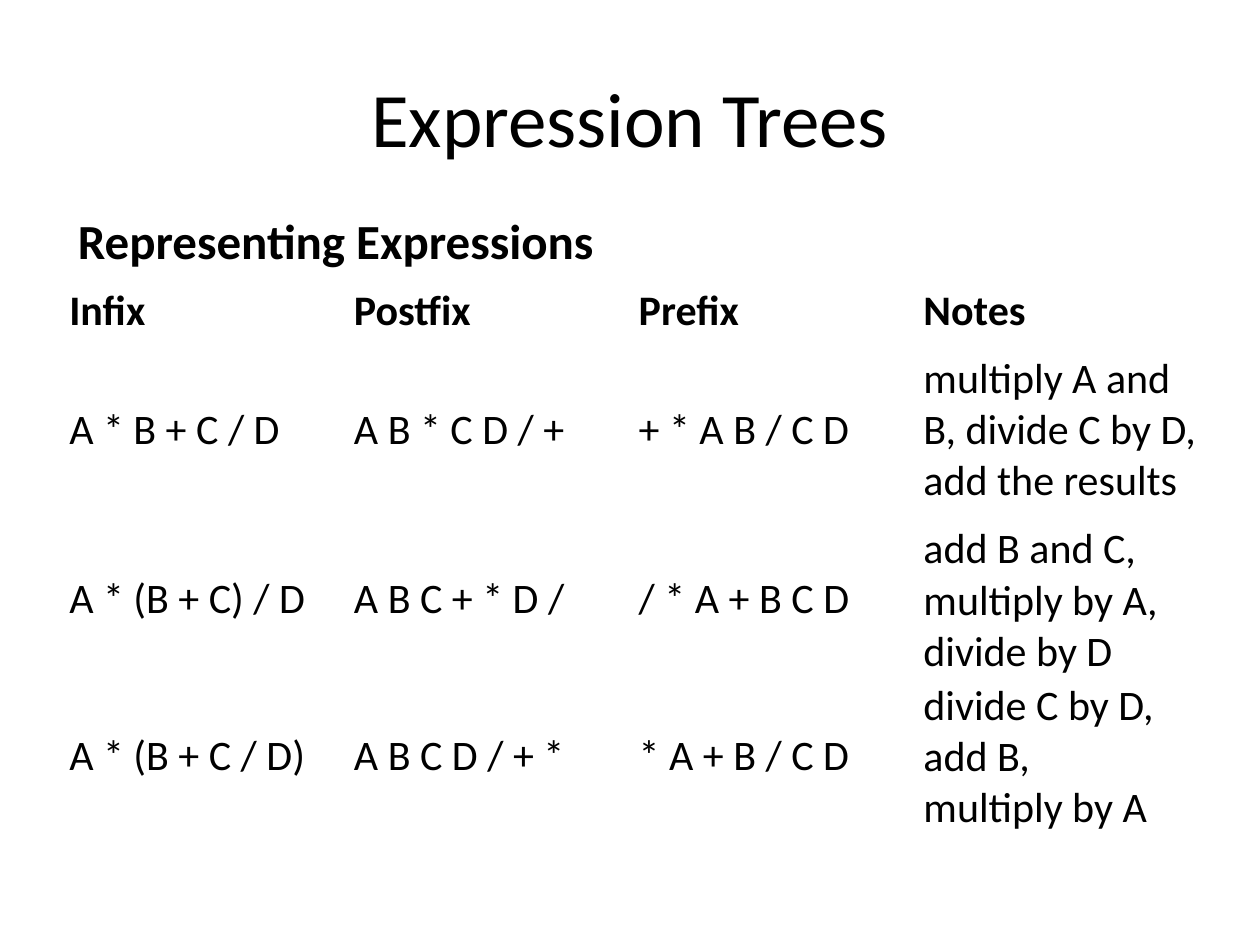
"""Build the Expression Trees slide with its table of notations."""
from dataclasses import dataclass

from pptx import Presentation
from pptx.dml.color import RGBColor
from pptx.enum.text import MSO_ANCHOR, MSO_AUTO_SIZE, PP_ALIGN
from pptx.util import Emu, Pt

MIDDLE = MSO_ANCHOR.MIDDLE
LEFT, CENTER = PP_ALIGN.LEFT, PP_ALIGN.CENTER
GROW, FIXED = MSO_AUTO_SIZE.SHAPE_TO_FIT_TEXT, MSO_AUTO_SIZE.NONE
PX = 9144
FONT = "Calibri"
BLACK, WHITE = "000000", "FFFFFF"
COL_WIDTH = 226
HEADERS = ("Infix", "Postfix", "Prefix", "Notes")


@dataclass(frozen=True)
class Heading:
    """A line of heading text with its box in px."""
    text: str
    box: tuple[int, int, int, int]
    size: int
    bold: bool
    align: PP_ALIGN
    wrap: bool


@dataclass(frozen=True)
class Row:
    """A table row with its height in px."""
    cells: tuple[str, ...]
    height: int
    bold: bool = False


HEADINGS = (
    Heading("Expression Trees", (50, 30, 900, 125), 44, False, CENTER, True),
    Heading("Representing Expressions", (52, 162, 434, 57), 28, True, LEFT, False),
)
ROWS = (
    Row(HEADERS, 28, True),
    Row(("A * B + C / D", "A B * C D / +", "+ * A B / C D",
         "multiply A and B, divide C by D,\nadd the results"), 145),
    Row(("A * (B + C) / D", "A B C + * D /", "/ * A + B C D",
         "add B and C,\nmultiply by A,\ndivide by D"), 98),
    Row(("A * (B + C / D)", "A B C D / + *", "* A + B / C D",
         "divide C by D,\nadd B,\nmultiply by A"), 122),
)


def px(n: int) -> Emu:
    """Turn px into EMU."""
    return Emu(n * PX)


def rgb(value: str) -> RGBColor:
    """Turn a hex string into a colour."""
    return RGBColor.from_string(value)


def add_text(p, text: str, size: int, bold: bool) -> None:
    """Add one run per line, with line breaks between them."""
    for i, line in enumerate(text.split("\n")):
        if i:
            p.add_line_break()
        r = p.add_run()
        r.text = line
        r.font.name = FONT
        r.font.size = Pt(size)
        r.font.bold = bold
        r.font.color.rgb = rgb(BLACK)


def add_heading(s, heading: Heading) -> None:
    """Draw a heading in its text box."""
    tf = s.shapes.add_textbox(*map(px, heading.box)).text_frame
    tf.word_wrap = heading.wrap
    tf.auto_size = FIXED if heading.wrap else GROW
    tf.vertical_anchor = MIDDLE
    p = tf.paragraphs[0]
    p.alignment = heading.align
    add_text(p, heading.text, heading.size, heading.bold)


def add_notation_table(s, left: int, top: int, rows: tuple[Row, ...]) -> None:
    """Draw the table of notations without fills or banding."""
    cols = len(HEADERS)
    height = sum(row.height for row in rows)
    table = s.shapes.add_table(len(rows), cols, px(left), px(top),
                               px(cols * COL_WIDTH), px(height)).table
    table.first_row = table.horz_banding = False
    for column in table.columns:
        column.width = px(COL_WIDTH)
    for i, row in enumerate(rows):
        table.rows[i].height = px(row.height)
        for j, text in enumerate(row.cells):
            cell = table.cell(i, j)
            cell.fill.background()
            cell.vertical_anchor = MIDDLE
            cell.margin_left = cell.margin_right = px(4)
            cell.margin_top = cell.margin_bottom = px(2)
            add_text(cell.text_frame.paragraphs[0], text, 24, row.bold)


def main() -> None:
    """Build and save the slide."""
    prs = Presentation()
    prs.slide_width, prs.slide_height = px(1000), px(750)
    s = prs.slides.add_slide(prs.slide_layouts[6])
    s.background.fill.solid()
    s.background.fill.fore_color.rgb = rgb(WHITE)
    for heading in HEADINGS:
        add_heading(s, heading)
    add_notation_table(s, 51, 225, ROWS)
    prs.save("out.pptx")


if __name__ == "__main__":
    main()
